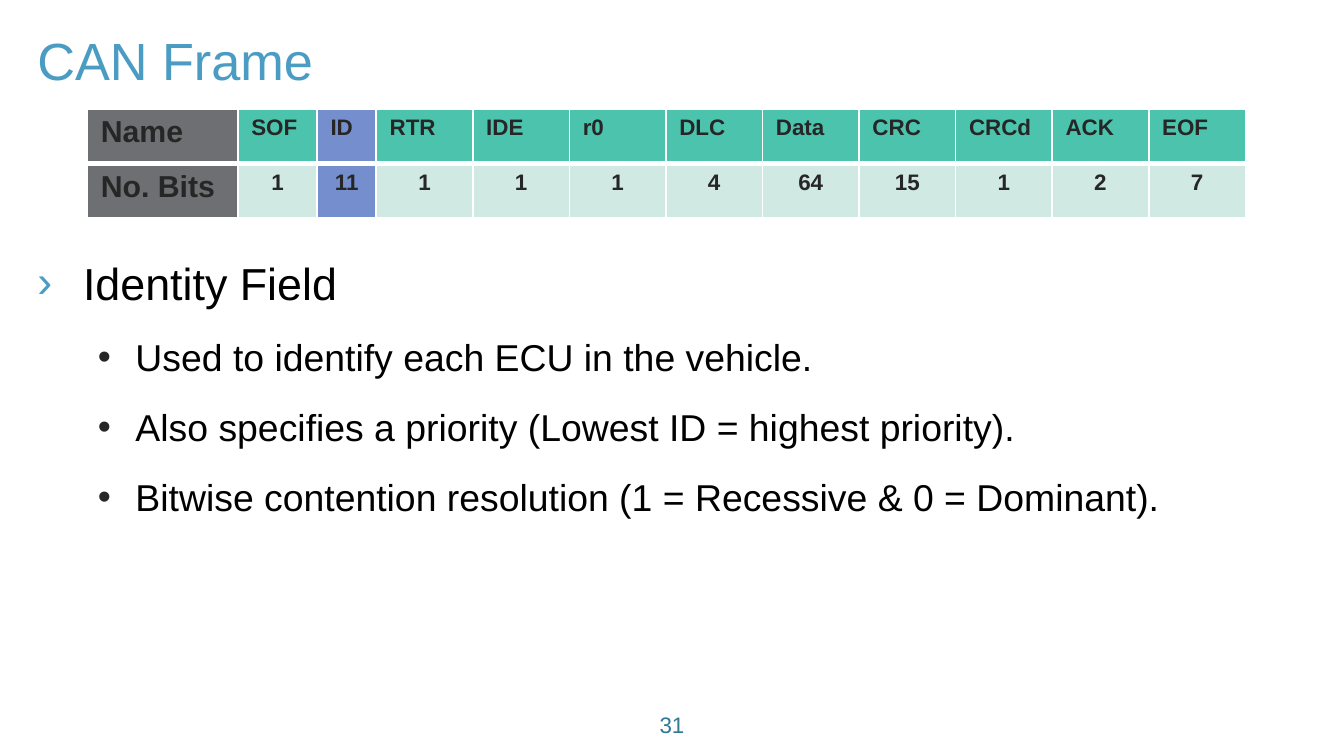
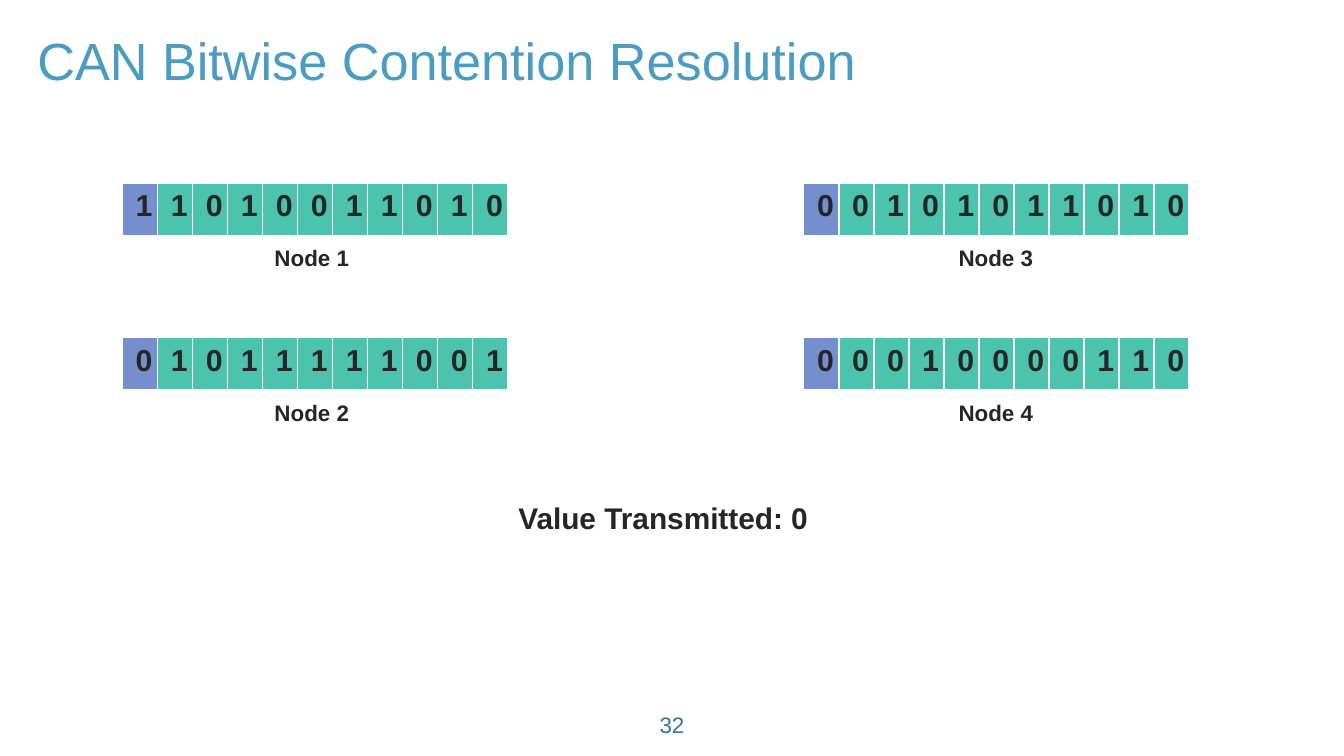
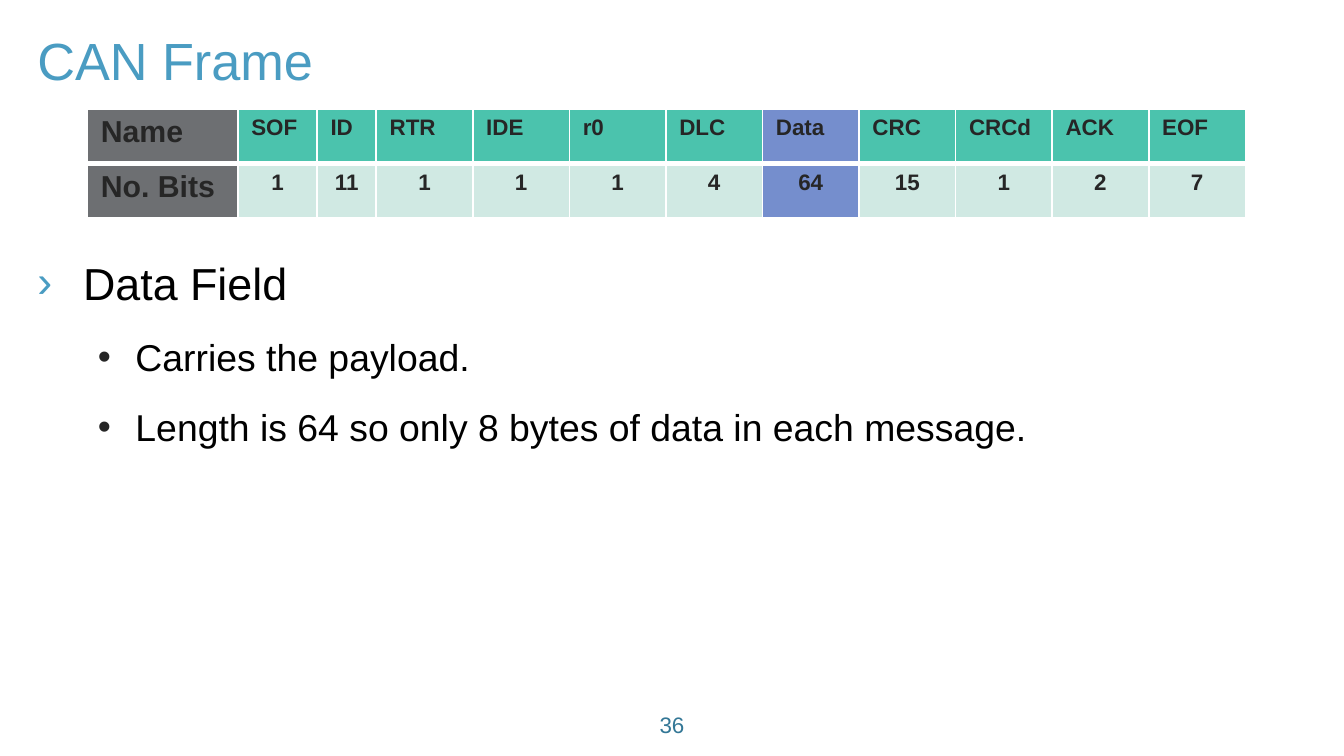
from dataclasses import dataclass

from lxml import etree
from pptx import Presentation
from pptx.dml.color import RGBColor
from pptx.enum.text import MSO_ANCHOR, MSO_AUTO_SIZE, PP_ALIGN
from pptx.oxml.ns import qn
from pptx.slide import Slide
from pptx.table import Table, _Cell
from pptx.text.text import _Paragraph
from pptx.util import Inches, Length, Pt

LEFT, CENTER = PP_ALIGN.LEFT, PP_ALIGN.CENTER
TOP, MIDDLE = MSO_ANCHOR.TOP, MSO_ANCHOR.MIDDLE
GROW, FIXED = MSO_AUTO_SIZE.SHAPE_TO_FIT_TEXT, MSO_AUTO_SIZE.NONE

WHITE = RGBColor(0xFF, 0xFF, 0xFF)
BLACK = RGBColor(0x00, 0x00, 0x00)
INK = RGBColor(0x26, 0x26, 0x26)
BLUE = RGBColor(0x4A, 0x9C, 0xC2)
DEEP_BLUE = RGBColor(0x33, 0x77, 0x96)
GRAY = RGBColor(0x6D, 0x6F, 0x72)
TEAL = RGBColor(0x4B, 0xC3, 0xAD)
MINT = RGBColor(0xD0, 0xE9, 0xE3)
HIGHLIGHT = RGBColor(0x75, 0x8E, 0xCD)

FONT = "Arial"
CELL_SIZE = 16.2
THIN, THICK = Pt(1), Pt(3)


@dataclass(frozen=True)
class Box:
    """Position and size in inches."""

    left: float
    top: float
    width: float
    height: float

    def lengths(self) -> tuple[Length, ...]:
        """Return the four measures as lengths."""
        return tuple(Inches(v) for v in (self.left, self.top, self.width, self.height))


@dataclass(frozen=True)
class TextStyle:
    """Look of a piece of text."""

    size: float
    color: RGBColor
    bold: bool = False
    align: PP_ALIGN = LEFT


@dataclass(frozen=True)
class BulletLevel:
    """Look of one list level."""

    style: TextStyle
    mark: str
    mark_color: RGBColor
    margin: float
    hanging: float


@dataclass(frozen=True)
class Field:
    """One field of the CAN frame."""

    name: str
    bits: int


@dataclass(frozen=True)
class Node:
    """A node, its identifier bits and its place."""

    name: str
    bits: str
    left: float
    top: float
    label_left: float


@dataclass(frozen=True)
class FieldPage:
    """A slide about one frame field."""

    number: int
    field: str
    heading: str
    points: tuple[str, ...]


TITLE = TextStyle(28, BLUE)
PAGE_NUMBER = TextStyle(12, DEEP_BLUE, align=CENTER)
LABEL = TextStyle(12, INK, True, CENTER)
RESULT = TextStyle(16, INK, True, CENTER)
ROW_NAME = TextStyle(CELL_SIZE, INK, True)
FIELD_NAME = TextStyle(12, INK, True)
BIT = TextStyle(CELL_SIZE, INK, True, CENTER)

HEADING = BulletLevel(TextStyle(24, BLACK), "›", BLUE, 0.34, 0.34)
POINT = BulletLevel(TextStyle(20, BLACK), "•", INK, 0.73, 0.28)

TITLE_BOX = Box(0.18, 0.16, 9.57, 0.57)
BODY_BOX = Box(0.18, 1.69, 9.57, 3.26)
NUMBER_BOX = Box(4.53, 5.24, 0.94, 0.3)
FRAME_BOX = Box(0.65, 0.81, 8.62, 0.81)
RESULT_BOX = Box(3.74, 3.67, 2.45, 0.37)
ROW_HEIGHT = FRAME_BOX.height / 2
BITS_WIDTH = 2.87
FIRST_WIDTHS = (1.12, 0.59, 0.44)

FIELDS = (
    Field("SOF", 1), Field("ID", 11), Field("RTR", 1), Field("IDE", 1),
    Field("r0", 1), Field("DLC", 4), Field("Data", 64), Field("CRC", 15),
    Field("CRCd", 1), Field("ACK", 2), Field("EOF", 7),
)
NODES = (
    Node("Node 1", "11010011010", 0.91, 1.36, 1.94),
    Node("Node 3", "00101011010", 5.98, 1.36, 7.03),
    Node("Node 2", "01011111001", 0.91, 2.51, 1.94),
    Node("Node 4", "00010000110", 5.98, 2.51, 7.03),
)
IDENTITY = FieldPage(31, "ID", "Identity Field", (
    "Used to identify each ECU in the vehicle.",
    "Also specifies a priority (Lowest ID = highest priority).",
    "Bitwise contention resolution (1 = Recessive & 0 = Dominant).",
))
DATA = FieldPage(36, "Data", "Data Field", (
    "Carries the payload.",
    "Length is 64 so only 8 bytes of data in each message.",
))


def write(p: _Paragraph, text: str, style: TextStyle) -> None:
    """Add one styled run to a paragraph."""
    p.alignment = style.align
    r = p.add_run()
    r.text = text
    r.font.name = FONT
    r.font.size = Pt(style.size)
    r.font.bold = style.bold
    r.font.color.rgb = style.color


def add_text(slide: Slide, box: Box, text: str, style: TextStyle,
             wrap: bool = True, anchor: MSO_ANCHOR = TOP) -> None:
    """Add a one-paragraph text box."""
    tf = slide.shapes.add_textbox(*box.lengths()).text_frame
    tf.word_wrap = wrap
    tf.auto_size = GROW
    tf.vertical_anchor = anchor
    write(tf.paragraphs[0], text, style)


def add_bullet(p: _Paragraph, text: str, level: BulletLevel) -> None:
    """Fill a paragraph as a list item."""
    write(p, text, level.style)
    p.line_spacing = 1.4
    pPr = p._p.get_or_add_pPr()
    pPr.set("marL", str(Inches(level.margin)))
    pPr.set("indent", str(-Inches(level.hanging)))
    before = etree.SubElement(pPr, qn("a:spcBef"))
    etree.SubElement(before, qn("a:spcPct"), val="20000")
    color = etree.SubElement(pPr, qn("a:buClr"))
    etree.SubElement(color, qn("a:srgbClr"), val=str(level.mark_color))
    etree.SubElement(pPr, qn("a:buFont"), typeface=FONT)
    etree.SubElement(pPr, qn("a:buChar"), char=level.mark)


def add_body(slide: Slide, page: FieldPage) -> None:
    """Add the heading and its points."""
    tf = slide.shapes.add_textbox(*BODY_BOX.lengths()).text_frame
    tf.word_wrap = True
    tf.auto_size = FIXED
    add_bullet(tf.paragraphs[0], page.heading, HEADING)
    for point in page.points:
        p = tf.add_paragraph()
        p.level = 1
        add_bullet(p, point, POINT)


def fill_cell(cell: _Cell, text: str, style: TextStyle, fill: RGBColor,
              top: Length = THIN, bottom: Length = THICK) -> None:
    """Give a cell its borders, fill and text."""
    tcPr = cell._tc.get_or_add_tcPr()
    edges = {"a:lnL": THIN, "a:lnR": THIN, "a:lnT": top, "a:lnB": bottom}
    for tag, width in edges.items():
        ln = etree.SubElement(tcPr, qn(tag), w=str(width))
        solid = etree.SubElement(ln, qn("a:solidFill"))
        etree.SubElement(solid, qn("a:srgbClr"), val=str(WHITE))
    cell.fill.solid()
    cell.fill.fore_color.rgb = fill
    write(cell.text_frame.paragraphs[0], text, style)


def new_table(slide: Slide, box: Box, rows: int, widths: list[Length]) -> Table:
    """Add an unbanded table with the given column widths."""
    table = slide.shapes.add_table(rows, len(widths), *box.lengths()).table
    table.horz_banding = False
    for column, width in zip(table.columns, widths):
        column.width = width
    return table


def add_frame(slide: Slide, active: str) -> None:
    """Add the frame table with one field highlighted."""
    rest = len(FIELDS) + 1 - len(FIRST_WIDTHS)
    equal = Inches((FRAME_BOX.width - sum(FIRST_WIDTHS)) / rest)
    widths = [Inches(w) for w in FIRST_WIDTHS] + [equal] * rest
    table = new_table(slide, FRAME_BOX, 2, widths)
    fill_cell(table.cell(0, 0), "Name", ROW_NAME, GRAY)
    fill_cell(table.cell(1, 0), "No. Bits", ROW_NAME, GRAY, THICK, THIN)
    for col, field in enumerate(FIELDS, 1):
        name_fill, bits_fill = (HIGHLIGHT, HIGHLIGHT) if field.name == active else (TEAL, MINT)
        fill_cell(table.cell(0, col), field.name, FIELD_NAME, name_fill)
        fill_cell(table.cell(1, col), str(field.bits), LABEL, bits_fill, THICK, THIN)


def add_node(slide: Slide, node: Node) -> None:
    """Add a node's bits, the first highlighted, and its label."""
    box = Box(node.left, node.top, BITS_WIDTH, ROW_HEIGHT)
    count = len(node.bits)
    table = new_table(slide, box, 1, [Inches(BITS_WIDTH / count)] * count)
    for col, bit in enumerate(node.bits):
        fill_cell(table.cell(0, col), bit, BIT, TEAL if col else HIGHLIGHT)
    label_box = Box(node.label_left, node.top + 0.41, 0.76, 0.3)
    add_text(slide, label_box, node.name, LABEL, wrap=False)


def new_slide(prs: Presentation, title: str, number: int) -> Slide:
    """Add a blank slide with title and page number."""
    slide = prs.slides.add_slide(prs.slide_layouts[6])
    add_text(slide, TITLE_BOX, title, TITLE)
    add_text(slide, NUMBER_BOX, str(number), PAGE_NUMBER, anchor=MIDDLE)
    return slide


def add_field_slide(prs: Presentation, page: FieldPage) -> None:
    """Build a slide that explains one frame field."""
    slide = new_slide(prs, "CAN Frame", page.number)
    add_body(slide, page)
    add_frame(slide, page.field)


def add_contention_slide(prs: Presentation) -> None:
    """Build the slide that compares the nodes' bits."""
    slide = new_slide(prs, "CAN Bitwise Contention Resolution", 32)
    for node in NODES:
        add_node(slide, node)
    add_text(slide, RESULT_BOX, "Value Transmitted: 0 ", RESULT, wrap=False)


def main() -> None:
    """Build and save the deck."""
    prs = Presentation()
    prs.slide_width = Inches(10)
    prs.slide_height = Inches(10 * 9 / 16)
    add_field_slide(prs, IDENTITY)
    add_contention_slide(prs)
    add_field_slide(prs, DATA)
    prs.save("out.pptx")


if __name__ == "__main__":
    main()
